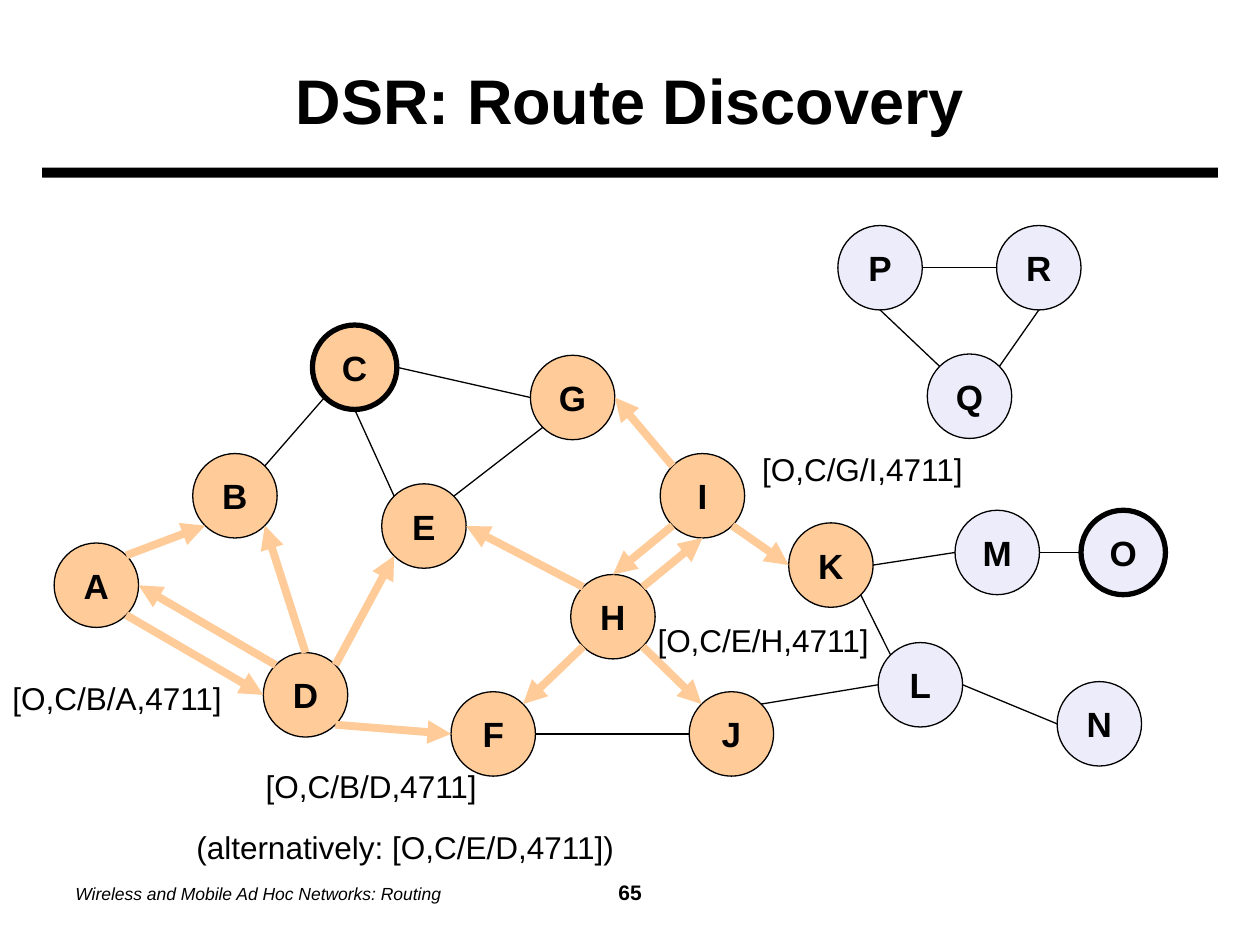
"""Build the DSR route discovery slide: a network graph with route reply arrows."""
from lxml import etree
from pptx import Presentation
from pptx.dml.color import RGBColor
from pptx.enum.shapes import MSO_CONNECTOR, MSO_SHAPE
from pptx.enum.text import MSO_ANCHOR, PP_ALIGN
from pptx.oxml.ns import qn
from pptx.util import Inches, Pt

STRAIGHT = MSO_CONNECTOR.STRAIGHT
OVAL, BAR = MSO_SHAPE.OVAL, MSO_SHAPE.RECTANGLE
MIDDLE, TOP = MSO_ANCHOR.MIDDLE, MSO_ANCHOR.TOP
CENTER, LEFT = PP_ALIGN.CENTER, PP_ALIGN.LEFT

WIDTH, HEIGHT = 10, 7.5
BLACK, REACHED, UNREACHED = "000000", "FFCC99", "ECECFA"
DIAMETER = 0.67
DIAGONAL = 0.5 ** 0.5

TITLE = "DSR: Route Discovery"
FOOTER, PAGE_NUMBER = "Wireless and Mobile Ad Hoc Networks: Routing", "\t 65"
ENDPOINTS = "CO"
NODES = {
    REACHED: {
        "B": (1.53, 3.6), "A": (0.43, 4.31), "C": (2.48, 2.58), "G": (4.21, 2.82),
        "I": (5.24, 3.6), "D": (2.09, 5.18), "K": (6.26, 4.15), "E": (3.03, 3.84),
        "H": (4.53, 4.56), "F": (3.58, 5.49), "J": (5.47, 5.49),
    },
    UNREACHED: {
        "L": (6.97, 5.1), "Q": (7.36, 2.81), "P": (6.65, 1.79), "M": (7.58, 4.05),
        "N": (8.39, 5.41), "O": (8.58, 4.05), "R": (7.91, 1.79),
    },
}
SIDES = {
    "n": (0, -1), "s": (0, 1), "w": (-1, 0), "e": (1, 0),
    "nw": (-DIAGONAL, -DIAGONAL), "ne": (DIAGONAL, -DIAGONAL),
    "sw": (-DIAGONAL, DIAGONAL), "se": (DIAGONAL, DIAGONAL),
}
LINKS = [
    "B.ne C.sw", "E.nw C.s", "G.w C.e", "G.sw E.ne", "L.w J.ne", "L.nw K.se", "M.w K.e",
    "N.w L.e", "O.w M.e", "P.s Q.nw", "P.e R.w", "Q.ne R.s", "J.w F.e",
]
ARROWS = [
    "A.ne B.sw", "A.se D.w", "D.n B.se", "H.nw E.e", "D.ne E.sw", "D.se F.w", "H.sw F.ne",
    "I.nw G.e", "I.sw H.n", "H.se J.nw", "I.se K.w", "D.nw A.e", "H.ne I.s",
]
ROUTES = [
    ("[O,C/G/I,4711]", 5.95, 3.52, 1.81),
    ("[O,C/B/A,4711]", 0, 5.34, 1.88),
    ("[O,C/B/D,4711]", 2.01, 6.04, 1.89),
    ("[O,C/E/H,4711]", 5.12, 4.88, 1.89),
    ("(alternatively: [O,C/E/D,4711])", 1.46, 6.52, 3.53),
]


def color(value):
    return RGBColor.from_string(value)


def add_span(para, text, size, bold=False, italic=False):
    span = para.add_run()
    span.text = text
    span.font.name, span.font.size = "Arial", Pt(size)
    span.font.bold, span.font.italic = bold, italic
    span.font.color.rgb = color(BLACK)


def prepare(box, anchor, align, wrap=False):
    frame = box.text_frame
    frame.word_wrap, frame.vertical_anchor = wrap, anchor
    para = frame.paragraphs[0]
    para.alignment = align
    return para


def add_filled(page, kind, place, fill):
    shape = page.shapes.add_shape(kind, *map(Inches, place))
    shape.shadow.inherit = False
    shape.fill.solid()
    shape.fill.fore_color.rgb = color(fill)
    return shape


def add_node(page, name, corner, fill):
    node = add_filled(page, OVAL, (*corner, DIAMETER, DIAMETER), fill)
    node.line.color.rgb = color(BLACK)
    node.line.width = Pt(3 if name in ENDPOINTS else 0.75)
    add_span(prepare(node, MIDDLE, CENTER), name, 20, bold=True)


def site(place):
    name, side = place.split(".")
    corner = next(group[name] for group in NODES.values() if name in group)
    return [Inches(start + DIAMETER / 2 * (1 + step)) for start, step in zip(corner, SIDES[side])]


def add_edge(page, edge, line_color, width, arrow=False):
    start, end = map(site, edge.split())
    line = page.shapes.add_connector(STRAIGHT, *start, *end)
    line.line.color.rgb = color(line_color)
    line.line.width = Pt(width)
    if arrow:
        outline = line.line._get_or_add_ln()
        etree.SubElement(outline, qn("a:tailEnd"), type="triangle")
    etree.SubElement(line._element.spPr, qn("a:effectLst"))


def add_heading(page):
    title = page.shapes.title
    title.left, title.top = Inches(0.5), Inches(0.25)
    title.width, title.height = Inches(WIDTH - 1), Inches(1.08)
    add_span(prepare(title, MIDDLE, CENTER, wrap=True), TITLE, 36, bold=True)
    add_filled(page, BAR, (WIDTH / 30, 1.33, WIDTH * 14 / 15, 0.08), BLACK).line.fill.background()


def add_footer(page):
    box = page.shapes.add_textbox(*map(Inches, (0.5, 6.83, WIDTH - 1, 0.5)))
    para = prepare(box, MIDDLE, LEFT, wrap=True)
    tabs = etree.SubElement(para._p.get_or_add_pPr(), qn("a:tabLst"))
    etree.SubElement(tabs, qn("a:tab"), pos=str(Inches(4.38)), algn="ctr")
    add_span(para, FOOTER, 10, italic=True)
    add_span(para, PAGE_NUMBER, 12, bold=True)


def main():
    deck = Presentation()
    deck.slide_width, deck.slide_height = Inches(WIDTH), Inches(HEIGHT)
    page = deck.slides.add_slide(deck.slide_layouts[5])
    add_heading(page)
    add_footer(page)
    for fill, group in NODES.items():
        for name, corner in group.items():
            add_node(page, name, corner, fill)
    for edge in LINKS:
        add_edge(page, edge, BLACK, 0.75)
    for edge in ARROWS:
        add_edge(page, edge, REACHED, 4.5, arrow=True)
    for text, left, top, width in ROUTES:
        box = page.shapes.add_textbox(*map(Inches, (left, top, width, 0.4)))
        add_span(prepare(box, TOP, LEFT), text, 18)
    deck.save("out.pptx")


if __name__ == "__main__":
    main()
